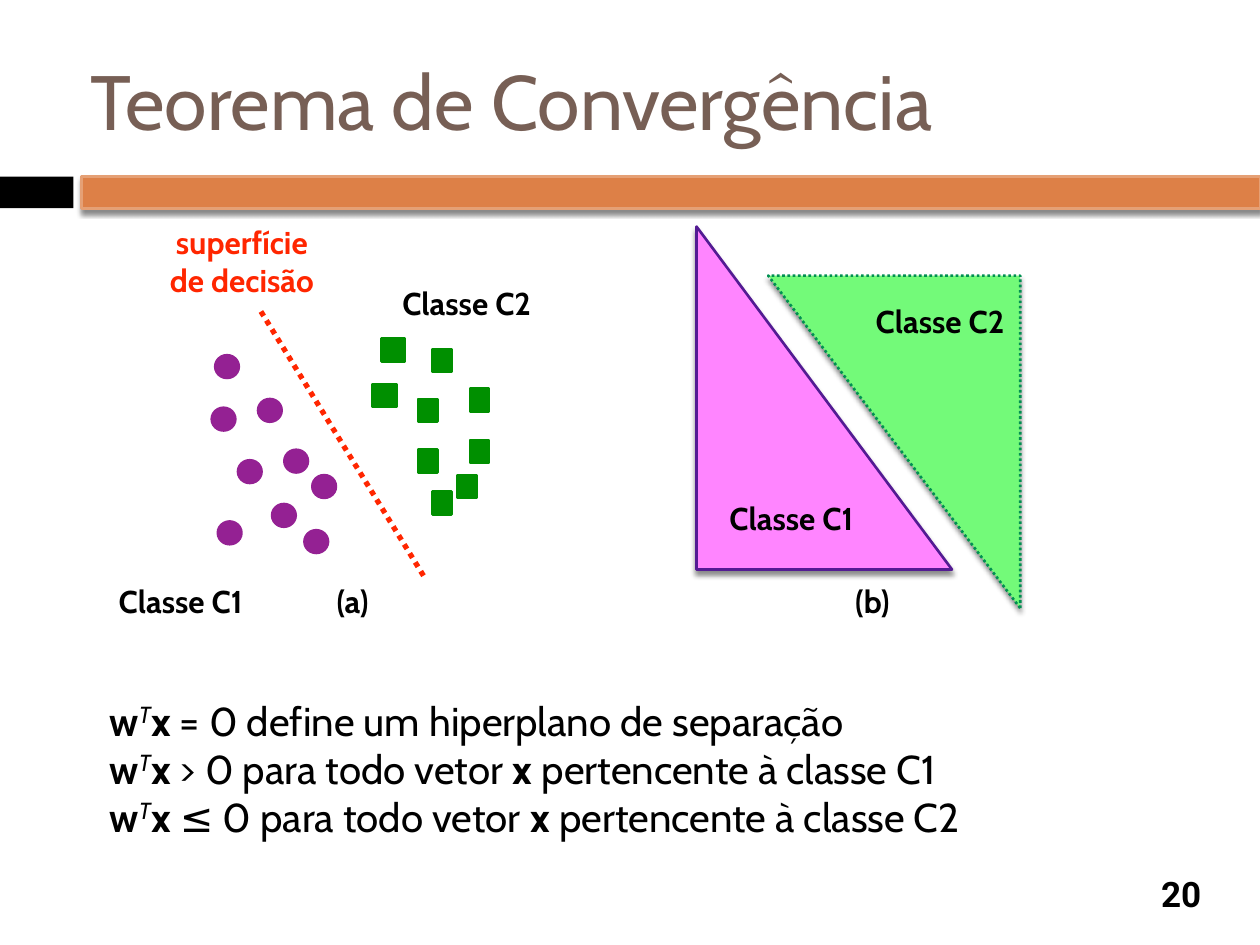
from lxml import etree
from pptx import Presentation
from pptx.dml.color import RGBColor
from pptx.enum.dml import MSO_LINE
from pptx.enum.shapes import MSO_CONNECTOR, MSO_SHAPE
from pptx.enum.text import MSO_ANCHOR, MSO_AUTO_SIZE, PP_ALIGN
from pptx.oxml.ns import qn
from pptx.util import Pt

RECT, OVAL = MSO_SHAPE.RECTANGLE, MSO_SHAPE.OVAL
STRAIGHT = MSO_CONNECTOR.STRAIGHT
DOTS = MSO_LINE.ROUND_DOT
LEFT, MID = PP_ALIGN.LEFT, PP_ALIGN.CENTER
TOP, CENTER = MSO_ANCHOR.TOP, MSO_ANCHOR.MIDDLE
FIXED = MSO_AUTO_SIZE.NONE

BLACK, RED = "000000", "FF2600"
PURPLE, GREEN = "942193", "008F00"
LABEL = {"name": "Cabin", "size": Pt(18), "bold": True}
BODY = {"name": "Cabin", "size": Pt(23), "bold": False, "italic": False}
STRONG = {**BODY, "bold": True}
SLANT = {**BODY, "italic": True}

CIRCLES = [(82, 139), (67, 109), (70.5, 174), (69, 79), (93.5, 104),
           (108.5, 133), (124.5, 147.5), (120, 179), (101.5, 164)]
SQUARES = [(185, 104), (193, 75.5), (214.5, 127.5), (193, 157),
           (185, 133), (207.5, 147.5), (214.5, 98)]
WIDE = [(164, 69.5), (159, 95.5)]


def color(code):
    return RGBColor.from_string(code)


def assign(item, values):
    for name, value in values.items():
        setattr(item, name, value)


def place(shape, box):
    names = ("left", "top", "width", "height")
    assign(shape, dict(zip(names, map(Pt, box))))


def stroke(shape, code, width, dash=None):
    shape.line.color.rgb = color(code)
    shape.line.width = Pt(width)
    if dash:
        shape.line.dash_style = dash


def effect(shape, soft=False):
    props = shape.element.spPr
    for old in props.findall(qn("a:effectLst")):
        props.remove(old)
    group = etree.SubElement(props, qn("a:effectLst"))
    if soft:
        shade = etree.SubElement(group, qn("a:outerShdw"), blurRad=str(Pt(3)),
                                 dist=str(Pt(2.4)), dir="5400000", rotWithShape="0")
        tint = etree.SubElement(shade, qn("a:srgbClr"), val=BLACK)
        etree.SubElement(tint, qn("a:alpha"), val="45000")


def paint(shape, fill, line=None, width=1.5, dash=None, soft=False):
    shape.fill.solid()
    shape.fill.fore_color.rgb = color(fill)
    if line:
        stroke(shape, line, width, dash)
    else:
        shape.line.fill.background()
    effect(shape, soft)


def frame(shape, anchor):
    inset = Pt(3.6)
    assign(shape.text_frame, {
        "word_wrap": True, "auto_size": FIXED, "vertical_anchor": anchor,
        "margin_left": inset, "margin_right": inset,
        "margin_top": inset, "margin_bottom": inset})
    return shape.text_frame


def write(para, text, style, code=BLACK):
    run = para.add_run()
    run.text = text
    assign(run.font, style)
    run.font.color.rgb = color(code)
    return run


def label(slide, box, lines, code=BLACK, style=LABEL, anchor=TOP):
    text = frame(slide.shapes.add_textbox(*map(Pt, box)), anchor)
    for i, line in enumerate(lines):
        para = text.add_paragraph() if i else text.paragraphs[0]
        para.alignment = MID
        write(para, line, style, code)


def header(slide, x, y, width):
    title = slide.shapes.title
    place(title, (x + 48, y + 18, 642, 78))
    para = frame(title, CENTER).paragraphs[0]
    para.alignment = LEFT
    write(para, "Teorema de Convergência", {"name": "Cabin", "size": Pt(44)}, "775F55")
    for left, wide, look in (
            (0, 42, {"fill": BLACK}),
            (46.5, width - 46.5, {"fill": "DD8047", "line": "E5A075", "soft": True})):
        bar = slide.shapes.add_shape(RECT, Pt(x + left), Pt(y + 101), Pt(wide), Pt(18))
        paint(bar, **look)


def scatter(slide, x, y):
    for kind, points, width, code in ((OVAL, CIRCLES, 13.5, PURPLE),
                                      (RECT, SQUARES, 11, GREEN),
                                      (RECT, WIDE, 13.5, GREEN)):
        for dx, dy in points:
            mark = slide.shapes.add_shape(kind, Pt(x + dx), Pt(y + dy), Pt(width), Pt(13))
            paint(mark, code, code)
    border = slide.shapes.add_connector(STRAIGHT, Pt(x + 188), Pt(y + 205),
                                        Pt(x + 94.5), Pt(y + 53))
    stroke(border, RED, 3, DOTS)
    effect(border)
    label(slide, (x, y, 168.5, 45.5), ["superfície", "de decisão"], RED)
    label(slide, (x + 5, y + 205, 88.5, 26), ["Classe C1"])
    label(slide, (x + 168.5, y + 34.5, 88.5, 26), ["Classe C2"])
    label(slide, (x + 126.5, y + 205, 42, 26), ["(a)"])


def regions(slide, x, y):
    for points, look in (
            ([(0, 0), (0, 196), (146, 196)], {"fill": "FF85FF", "line": "531B93"}),
            ([(185, 218), (185, 28), (41, 28)],
             {"fill": "73FA79", "line": "009051", "dash": DOTS})):
        path = slide.shapes.build_freeform(*points[0], scale=Pt(1))
        path.add_line_segments(points[1:], close=True)
        paint(path.convert_to_shape(Pt(x), Pt(y)), soft=True, **look)
    label(slide, (x + 79.5, y + 199.5, 42, 26), ["(b)"])
    label(slide, (x + 10, y + 152, 88.5, 26), ["Classe C1"])
    label(slide, (x + 95, y + 39.5, 88.5, 26), ["Classe C2"])


def rules(slide, box):
    body = slide.placeholders[1]
    place(body, box)
    text = frame(body, TOP)
    vector = [("x", STRONG), (" pertencente à classe ", BODY)]
    rows = [
        [(" = 0 define um hiperplano de separação", BODY)],
        [(" > 0 para todo vetor ", BODY), *vector, ("C1", BODY)],
        [(" ≤", SLANT), (" 0 para todo vetor ", BODY), *vector, ("C2", BODY)]]
    for i, row in enumerate(rows):
        para = text.add_paragraph() if i else text.paragraphs[0]
        assign(para, {"alignment": LEFT, "space_before": Pt(0), "space_after": Pt(0)})
        props = para._p.get_or_add_pPr()
        props.set("marL", "0")
        props.set("indent", "0")
        etree.SubElement(props, qn("a:buNone"))
        write(para, "w", STRONG)
        power = write(para, "T", SLANT)
        power.font._element.set("baseline", "32000")
        write(para, "x", STRONG)
        for words, style in row:
            write(para, words, style)


def main():
    deck = Presentation()
    deck.slide_width, deck.slide_height = Pt(720), Pt(540)
    slide = deck.slides.add_slide(deck.slide_layouts[1])
    header(slide, 0, 0, 720)
    rules(slide, (59, 394, 648, 105))
    scatter(slide, 54, 124)
    regions(slide, 398, 129.5)
    label(slide, (654, 496, 42, 29.5), ["20"], anchor=CENTER,
          style={"name": "Roboto", "size": Pt(20), "bold": True})
    deck.save("out.pptx")


if __name__ == "__main__":
    main()
